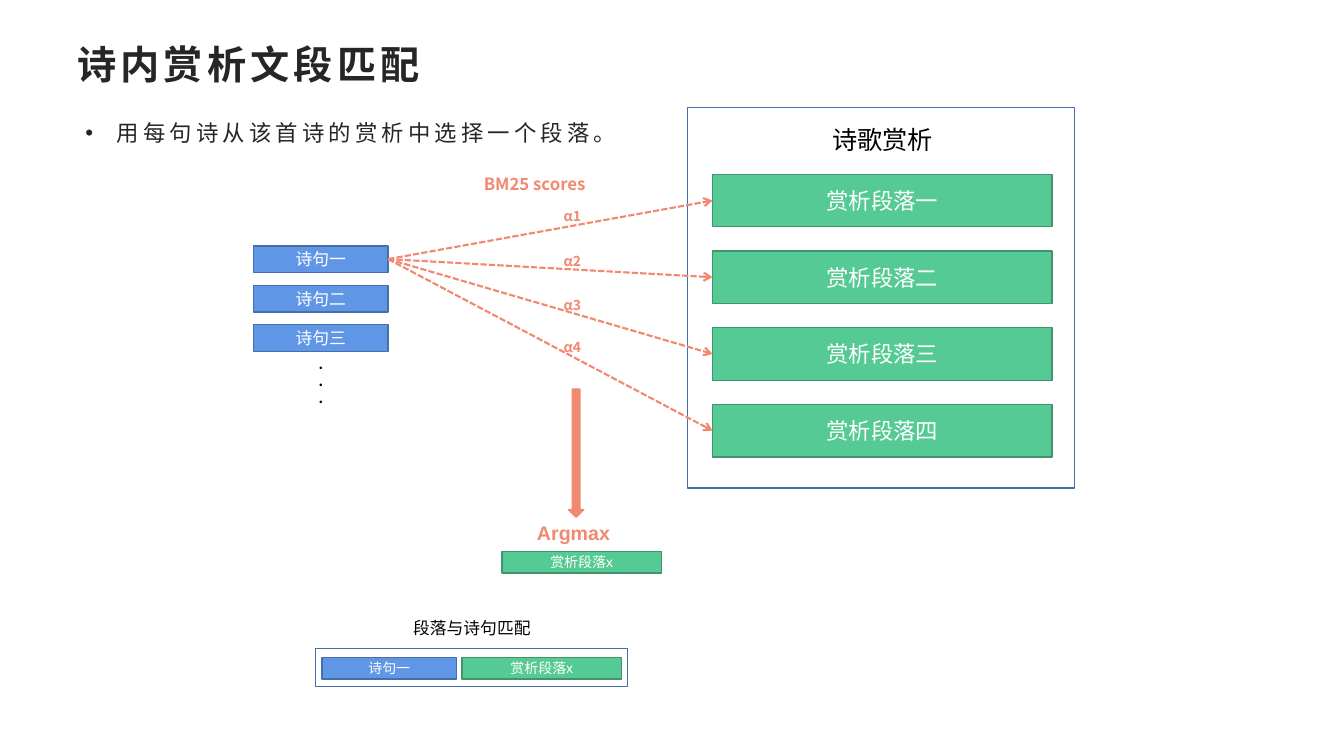
from dataclasses import dataclass
from typing import Optional

from lxml.etree import SubElement
from pptx import Presentation
from pptx.dml.color import RGBColor
from pptx.enum.dml import MSO_LINE
from pptx.enum.shapes import MSO_CONNECTOR, MSO_SHAPE
from pptx.enum.text import MSO_ANCHOR, PP_ALIGN
from pptx.oxml.ns import qn
from pptx.util import Pt

COLORS = {
    "ink": "262626", "black": "000000", "white": "FFFFFF", "coral": "F18870",
    "green": "56CA95", "green_edge": "40956E",
    "blue": "6096E6", "blue_edge": "476FAA",
}
LATIN, CJK = "Arial", "Noto Sans CJK SC"


@dataclass
class Box:
    left: float
    top: float
    width: float
    height: float
    text: str = ""
    size: float = 12
    fill: Optional[str] = None
    edge: str = "blue_edge"
    line: float = 1
    kind: MSO_SHAPE = MSO_SHAPE.RECTANGLE


@dataclass
class Label:
    left: float
    top: float
    width: float
    height: float
    text: str
    size: float
    color: str = "black"
    font: str = CJK
    bold: bool = False
    spacing: float = 1
    tracking: float = 0
    wrap: bool = False
    anchor: MSO_ANCHOR = MSO_ANCHOR.TOP
    bullet: bool = False


def rgb(name: str) -> RGBColor:
    return RGBColor.from_string(COLORS[name])


def write(tf, text: str, *, size: float, color: str, font: str = LATIN,
          bold: bool = False, align=PP_ALIGN.LEFT, spacing: float = 1,
          tracking: float = 0, bullet: bool = False) -> None:
    for i, line in enumerate(text.split("\n")):
        p = tf.add_paragraph() if i else tf.paragraphs[0]
        p.alignment, p.line_spacing = align, spacing
        if bullet:
            pPr = p._p.get_or_add_pPr()
            pPr.set("marL", str(Pt(22.5)))
            pPr.set("indent", str(-Pt(22.5)))
            SubElement(pPr, qn("a:buFont"), typeface=LATIN)
            SubElement(pPr, qn("a:buChar"), char="•")
        r = p.add_run()
        r.text = line
        r.font.size, r.font.bold, r.font.name = Pt(size), bold, font
        r.font.color.rgb = rgb(color)
        rPr = r._r.get_or_add_rPr()
        SubElement(rPr, qn("a:ea"), typeface=CJK)
        if tracking:
            rPr.set("spc", str(int(tracking * 100)))


def add_box(s, box: Box) -> None:
    sp = s.shapes.add_shape(box.kind, Pt(box.left), Pt(box.top),
                            Pt(box.width), Pt(box.height))
    sp.shadow.inherit = False
    if box.fill:
        sp.fill.solid()
        sp.fill.fore_color.rgb = rgb(box.fill)
    else:
        sp.fill.background()
    sp.line.color.rgb, sp.line.width = rgb(box.edge), Pt(box.line)
    if box.text:
        sp.text_frame.vertical_anchor = MSO_ANCHOR.MIDDLE
        write(sp.text_frame, box.text, size=box.size, color="white",
              align=PP_ALIGN.CENTER)


def add_label(s, label: Label) -> None:
    sp = s.shapes.add_textbox(Pt(label.left), Pt(label.top),
                              Pt(label.width), Pt(label.height))
    tf = sp.text_frame
    tf.word_wrap, tf.vertical_anchor = label.wrap, label.anchor
    write(tf, label.text, size=label.size, color=label.color, font=label.font,
          bold=label.bold, spacing=label.spacing, tracking=label.tracking,
          bullet=label.bullet)


def add_arrow(s, x1: float, y1: float, x2: float, y2: float) -> None:
    c = s.shapes.add_connector(MSO_CONNECTOR.STRAIGHT, Pt(x1), Pt(y1), Pt(x2), Pt(y2))
    c.line.color.rgb, c.line.width = rgb("coral"), Pt(1.5)
    c.line.dash_style = MSO_LINE.SQUARE_DOT
    SubElement(c.line._get_or_add_ln(), qn("a:tailEnd"), type="arrow")
    SubElement(c._element.spPr, qn("a:effectLst"))


def verse(left: float, top: float, height: float, text: str, size: float) -> Box:
    return Box(left, top, 96, height, text, size, "blue")


def passage(left: float, top: float, width: float, height: float,
            text: str, size: float) -> Box:
    return Box(left, top, width, height, text, size, "green", "green_edge")


prs = Presentation()
prs.slide_width, prs.slide_height = Pt(960), Pt(540)
s = prs.slides.add_slide(prs.slide_layouts[6])

# Heading and bullet
add_label(s, Label(48, 18, 864, 55.4, "诗内赏析文段匹配", 28, "ink", LATIN, True,
                   tracking=3, wrap=True, anchor=MSO_ANCHOR.MIDDLE))
add_label(s, Label(54, 67, 864, 55.4, "用每句诗从该首诗的赏析中选择一个段落。", 16, "ink",
                   LATIN, tracking=3, wrap=True, anchor=MSO_ANCHOR.MIDDLE, bullet=True))

# Appreciation passages in their frame
passages = [passage(509, 124.5 + 54.8 * i, 242.6, 37.5, f"赏析段落{n}", 16)
            for i, n in enumerate("一二三四")]
for box in passages:
    add_box(s, box)
add_box(s, Box(491, 77, 276.5, 271.5))
add_label(s, Label(587.5, 85.5, 86.5, 29, "诗歌赏析", 18))

# Verses
verses = [verse(181.2, 175.6 + 28.2 * i, 19, f"诗句{n}", 12)
          for i, n in enumerate("一二三")]
for box in verses:
    add_box(s, box)
add_label(s, Label(220.5, 250.5, 17, 43.5, ".\n.\n.", 10, bold=True))

# Scores from the first verse to every passage
first = verses[0]
for box in passages:
    add_arrow(s, first.left + first.width, first.top + first.height / 2,
              box.left, box.top + box.height / 2)
for i, top in enumerate((138.5, 170.5, 202.5, 232), 1):
    add_label(s, Label(395.5, top, 27, 25, f"α{i}", 10, "coral", bold=True, spacing=1.5))
add_label(s, Label(338.5, 113, 91.5, 29, "BM25 scores", 12, "coral", bold=True, spacing=1.5))

# Best passage
add_box(s, Box(406, 278, 11, 91.5, fill="coral", edge="coral", kind=MSO_SHAPE.DOWN_ARROW))
add_label(s, Label(376.5, 364.5, 78, 28, "Argmax", 14, "coral", LATIN, True, 1.25, wrap=True))
add_box(s, passage(358.5, 394, 114, 15.4, "赏析段落x", 10))

# Matched pair
add_label(s, Label(288, 438, 98.5, 21.5, "段落与诗句匹配", 12, font=LATIN))
add_box(s, verse(230, 469.5, 15.4, "诗句一", 10))
add_box(s, passage(330, 469.5, 114, 15.4, "赏析段落x", 10))
add_box(s, Box(225.5, 463.5, 222.5, 27, line=0.75))

prs.save("out.pptx")
